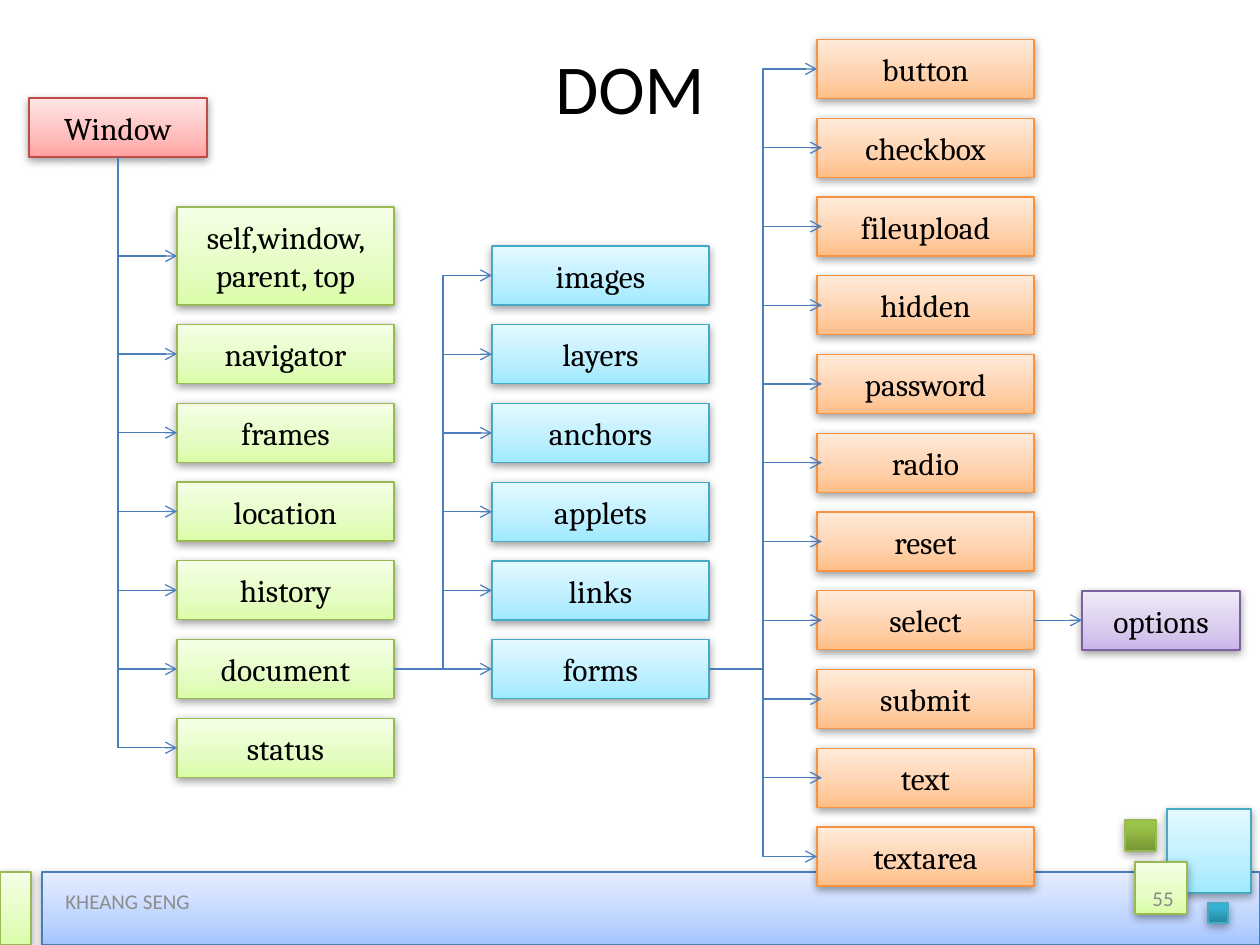
from lxml import etree
from pptx import Presentation
from pptx import util as u
from pptx.dml.color import RGBColor
from pptx.enum import shapes, text
from pptx.oxml import parse_xml
from pptx.oxml.ns import nsdecls, qn

PX = 914400 / 126
PITCH = 78.75
BOX_W, BOX_H = 217, 59
LINE = "4B7EBC"
LEFT, CENTER, RIGHT = text.PP_ALIGN.LEFT, text.PP_ALIGN.CENTER, text.PP_ALIGN.RIGHT

PALETTE = {
    "red": ("BE4B48", [(0, "FFA2A1"), (35, "FFBEBD"), (100, "FFE5E5")]),
    "green": ("98B954", [(0, "DAFDA7"), (35, "E4FDC2"), (100, "F5FFE6")]),
    "aqua": ("46AAC5", [(0, "9EEAFF"), (35, "BBEFFF"), (100, "E4F9FF")]),
    "orange": ("F69240", [(0, "FFBE86"), (35, "FFD0AA"), (100, "FFEBDB")]),
    "purple": ("7D60A0", [(0, "C9B5E8"), (35, "D9CBEE"), (100, "F0EAF9")]),
    "blue": ("4A7EBB", [(0, "A3C4FF"), (35, "BFD5FF"), (100, "E5EEFF")]),
    "dark green": ("98B954", [(0, "769535"), (80, "9BC348"), (100, "9CC746")]),
    "dark aqua": ("46AAC5", [(0, "2787A0"), (80, "36B1D2"), (100, "34B3D6")]),
}
DECOR = [
    ("blue", 42, 872, 1218, 73),
    ("aqua", 1167, 809, 84, 84),
    ("green", 1135, 862, 52, 52),
    ("dark green", 1125, 820, 31, 31),
    ("dark aqua", 1208, 903, 20, 20),
    ("green", 0, 872, 31, 73),
]
LABELS = [
    ("DOM", 63, 32, 1134, 110, 40, "000000", CENTER),
    ("55", 892, 873, 294, 50, 12, "898989", RIGHT),
    ("KHEANG SENG", 53, 876, 399, 50, 12, "8C8C8C", LEFT),
]
WINDOW = (29, 98, 178, BOX_H)
SELF = (177, 207, BOX_W, 98)
OPTIONS = (1082, 591, 158, BOX_H)
WINDOW_PARTS = ["navigator", "frames", "location", "history", "document", "status"]
DOCUMENT_PARTS = ["images", "layers", "anchors", "applets", "links", "forms"]
FORM_PARTS = ["button", "checkbox", "fileupload", "hidden", "password", "radio",
              "reset", "select", "submit", "text", "textarea"]

prs = Presentation()
prs.slide_width, prs.slide_height = u.Inches(10), u.Inches(7.5)
s = prs.slides.add_slide(prs.slide_layouts[6])


def emu(*lengths):
    return [u.Emu(round(v * PX)) for v in lengths]


def rgb(value):
    return RGBColor.from_string(value)


def write(sp, words, size, font, color, align):
    tf = sp.text_frame
    tf.text = words
    tf.word_wrap = True
    tf.vertical_anchor = text.MSO_ANCHOR.MIDDLE
    p = tf.paragraphs[0]
    p.alignment = align
    r = p.runs[0]
    r.font.size, r.font.name, r.font.color.rgb = u.Pt(size), font, rgb(color)


def add_box(color, bounds, words=""):
    line, stops = PALETTE[color]
    sp = s.shapes.add_shape(shapes.MSO_SHAPE.RECTANGLE, *emu(*bounds))
    sp.fill.gradient()
    sp.fill.gradient_angle = 90
    props = sp._element.spPr
    gradient = props.find(".//" + qn("a:gsLst"))
    for stop in list(gradient):
        gradient.remove(stop)
    for place, value in stops:
        gradient.append(parse_xml(
            f'<a:gs {nsdecls("a")} pos="{place * 1000}"><a:srgbClr val="{value}"/></a:gs>'))
    sp.line.color.rgb, sp.line.width = rgb(line), u.Pt(0.75)
    sp.shadow.inherit = False
    props.find(qn("a:effectLst")).append(parse_xml(
        f'<a:outerShdw {nsdecls("a")} blurRad="63500" dist="20000" dir="5400000" '
        'rotWithShape="0"><a:srgbClr val="000000"><a:alpha val="38000"/></a:srgbClr>'
        '</a:outerShdw>'))
    if words:
        write(sp, words, 18, "Cambria", "000000", CENTER)


def add_arrow(x1, y1, x2, y2, kind=shapes.MSO_CONNECTOR.STRAIGHT):
    c = s.shapes.add_connector(kind, *emu(x1, y1, x2, y2))
    c.line.color.rgb, c.line.width = rgb(LINE), u.Pt(0.75)
    etree.SubElement(c.line._get_or_add_ln(), qn("a:tailEnd"), type="arrow")
    etree.SubElement(c._element.spPr, qn("a:effectLst"))
    return c


def add_elbow(x1, y1, x2, y2):
    add_arrow(x1, y1, x2, y2, shapes.MSO_CONNECTOR.ELBOW)


def add_corner(x1, y1, x2, y2):
    w, h = x2 - x1, y2 - y1
    c = add_arrow(x1, y1, x2, y2, shapes.MSO_CONNECTOR.ELBOW)
    c.left, c.top, c.width, c.height = emu(x1 + (w - h) / 2, y1 + (h - w) / 2, h, w)
    props = c._element.spPr
    props.find(qn("a:prstGeom")).set("prst", "bentConnector2")
    props.find(qn("a:xfrm")).set("rot", "16200000")
    props.find(qn("a:xfrm")).set("flipH", "1")


def add_column(color, x, top, names):
    tops = [top + i * PITCH for i in range(len(names))]
    for name, y in zip(names, tops):
        add_box(color, (x, y, BOX_W, BOX_H), name)
    return {name: y + BOX_H / 2 for name, y in zip(names, tops)}


for color, *bounds in DECOR:
    add_box(color, bounds)
for words, x, y, w, h, size, color, align in LABELS:
    write(s.shapes.add_textbox(*emu(x, y, w, h)), words, size, "Calibri", color, align)

add_box("red", WINDOW, "Window")
add_box("green", SELF, "self,window, parent, top")
add_box("purple", OPTIONS, "options")
window = add_column("green", 177, 324.5, WINDOW_PARTS)
document = add_column("aqua", 492, 246, DOCUMENT_PARTS)
form = add_column("orange", 817, 39.5, FORM_PARTS)

trunk, foot = 118, WINDOW[1] + BOX_H
for y in (SELF[1] + SELF[3] / 2, window["document"], window["status"]):
    add_corner(trunk, foot, 177, y)
for name in ("navigator", "frames", "location", "history"):
    add_arrow(trunk, window[name], 177, window[name])

add_elbow(394, window["document"], 492, document["images"])
add_arrow(394, window["document"], 492, window["document"])
for name in DOCUMENT_PARTS[1:-1]:
    add_arrow(443, document[name], 492, document[name])

for name in (FORM_PARTS[0], FORM_PARTS[-1]):
    add_elbow(709, document["forms"], 817, form[name])
for name in FORM_PARTS[1:-1]:
    add_arrow(763, form[name], 822, form[name])
add_arrow(1034, form["select"], OPTIONS[0], form["select"])

prs.save("out.pptx")
